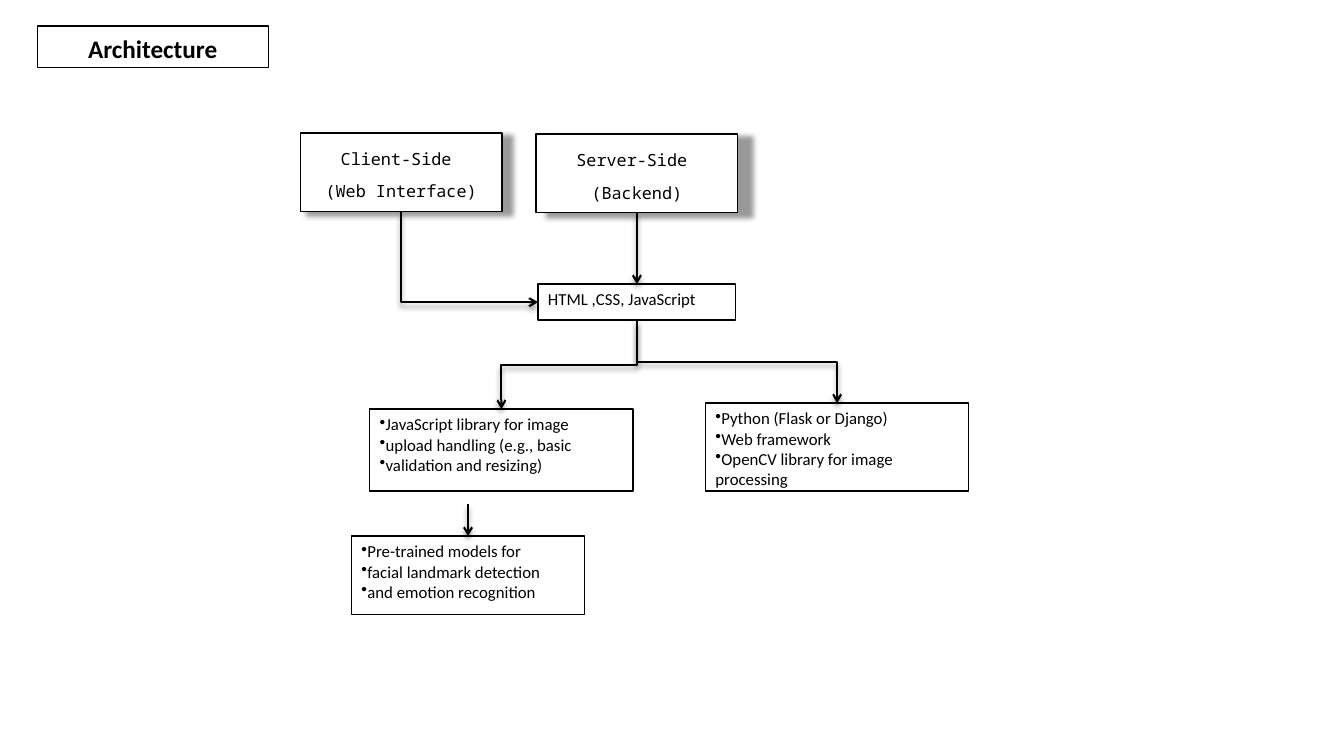
from lxml import etree
from pptx import Presentation
from pptx.dml.color import RGBColor
from pptx.enum.shapes import MSO_CONNECTOR as LineKind, MSO_SHAPE as Preset
from pptx.enum.text import MSO_ANCHOR as Anchor, MSO_AUTO_SIZE as AutoSize, PP_ALIGN as Align
from pptx.oxml import parse_xml
from pptx.oxml.ns import nsdecls, qn
from pptx.util import Cm, Pt

COLOURS = {"ink": "000000", "paper": "FFFFFF"}
INK = RGBColor.from_string(COLOURS["ink"])
PAPER = RGBColor.from_string(COLOURS["paper"])


def fill_box(box, lines, font="Calibri", size=12, bold=False, align=Align.LEFT,
             bullet=False, spacing=1.0, before=0):
    """Outline a box and write its lines, one paragraph each."""
    box.fill.solid()
    box.fill.fore_color.rgb = PAPER
    box.line.color.rgb = INK
    box.line.width = Pt(1)
    frame = box.text_frame
    frame.word_wrap = True
    frame.auto_size = AutoSize.NONE
    frame.vertical_anchor = Anchor.TOP
    for number, line in enumerate(lines):
        para = frame.add_paragraph() if number else frame.paragraphs[0]
        para.alignment = align
        para.line_spacing = spacing
        para.space_before = Pt(before)
        props = para._p.get_or_add_pPr()
        props.set("marL", "0")
        props.set("indent", "0")
        if bullet:
            etree.SubElement(props, qn("a:buChar")).set("char", "•")
        else:
            etree.SubElement(props, qn("a:buNone"))
        span = para.add_run()
        span.text = line
        span.font.name = font
        span.font.size = Pt(size)
        span.font.bold = bold
        span.font.color.rgb = INK


def add_shadow(shape, distance, scale=100):
    """Give a shape a soft shadow, straight below it."""
    shape._element.spPr.append(parse_xml(
        f'<a:effectLst {nsdecls("a")}><a:outerShdw blurRad="{Pt(4)}" dist="{Pt(distance)}" '
        f'dir="5400000" sx="{scale * 1000}" sy="{scale * 1000}" algn="ctr" rotWithShape="0">'
        f'<a:srgbClr val="{COLOURS["ink"]}"><a:alpha val="40000"/></a:srgbClr>'
        '</a:outerShdw></a:effectLst>'))


deck = Presentation()
deck.slide_width, deck.slide_height = Cm(33.87), Cm(19.05)
page = deck.slides.add_slide(deck.slide_layouts[3])
title, client, server = page.placeholders

# Title
title.left, title.top, title.width, title.height = Cm(0.94), Cm(0.66), Cm(5.82), Cm(1.04)
fill_box(title, ["Architecture"], size=18, bold=True, align=Align.CENTER, spacing=1.07)

# Client and server
sides = [
    (client, 7.57, 3.35, ["Client-Side ", "(Web Interface)"]),
    (server, 13.51, 3.38, ["Server-Side ", "(Backend)"]),
]
for box, left, top, lines in sides:
    box.left, box.top, box.width, box.height = Cm(left), Cm(top), Cm(5.08), Cm(1.98)
    fill_box(box, lines, font="Noto Sans Mono", align=Align.CENTER, spacing=0.9, before=10)
    frame = box.text_frame
    frame.margin_left = frame.margin_right = 0
    frame.margin_top, frame.margin_bottom = Cm(0.46), Cm(0.13)
    add_shadow(box, 0, 102)

# Technology boxes
technologies = {
    "web": (13.56, 7.16, 4.98, 0.91, ["HTML ,CSS, JavaScript"]),
    "upload": (9.32, 10.31, 6.63, 2.06, ["JavaScript library for image",
                                        "upload handling (e.g., basic",
                                        "validation and resizing)"]),
    "framework": (17.78, 10.16, 6.63, 2.21, ["Python (Flask or Django)",
                                            "Web framework",
                                            "OpenCV library for image processing"]),
    "models": (8.86, 13.51, 5.87, 1.98, ["Pre-trained models for",
                                        "facial landmark detection",
                                        "and emotion recognition"]),
}
boxes = {}
for name, (left, top, width, height, lines) in technologies.items():
    box = page.shapes.add_shape(Preset.RECTANGLE, Cm(left), Cm(top), Cm(width), Cm(height))
    box.shadow.inherit = False
    fill_box(box, lines, bullet=len(lines) > 1)
    boxes[name] = box
web, models = boxes["web"], boxes["models"]

# Straight arrows
server_arrow = page.shapes.add_connector(LineKind.STRAIGHT, 0, 0, 0, 0)
server_arrow.begin_connect(server, 2)
server_arrow.end_connect(web, 0)
models_middle = models.left + models.width // 2
models_arrow = page.shapes.add_connector(
    LineKind.STRAIGHT, models_middle, Cm(12.7), models_middle, models.top)
models_arrow.end_connect(models, 0)
arrows = [server_arrow, models_arrow]

# Elbow arrows leave downwards, so each is a turned elbow
elbows = [
    (client, web.left, web.top + web.height // 2, "bentConnector2"),
    (web, boxes["upload"].left + boxes["upload"].width // 2, boxes["upload"].top, "bentConnector3"),
    (web, boxes["framework"].left + boxes["framework"].width // 2, boxes["framework"].top,
     "bentConnector3"),
]
for source, end_x, end_y, bend in elbows:
    start_x, start_y = source.left + source.width // 2, source.top + source.height
    across, down = abs(end_x - start_x), end_y - start_y
    arrow = page.shapes.add_connector(LineKind.ELBOW, 0, 0, 0, 0)
    arrow.left = (start_x + end_x - down) // 2
    arrow.top = (start_y + end_y - across) // 2
    arrow.width, arrow.height = down, across
    frame = arrow._element.spPr.find(qn("a:xfrm"))
    if end_x > start_x:
        frame.set("rot", "16200000")
        frame.set("flipH", "1")
    else:
        frame.set("rot", "5400000")
    arrow._element.spPr.find(qn("a:prstGeom")).set("prst", bend)
    arrows.append(arrow)

# Arrow look
for arrow in arrows:
    arrow.line.color.rgb = INK
    arrow.line.width = Pt(1.5)
    etree.SubElement(arrow.line._get_or_add_ln(), qn("a:tailEnd")).set("type", "arrow")
    add_shadow(arrow, 3)

deck.save("out.pptx")
